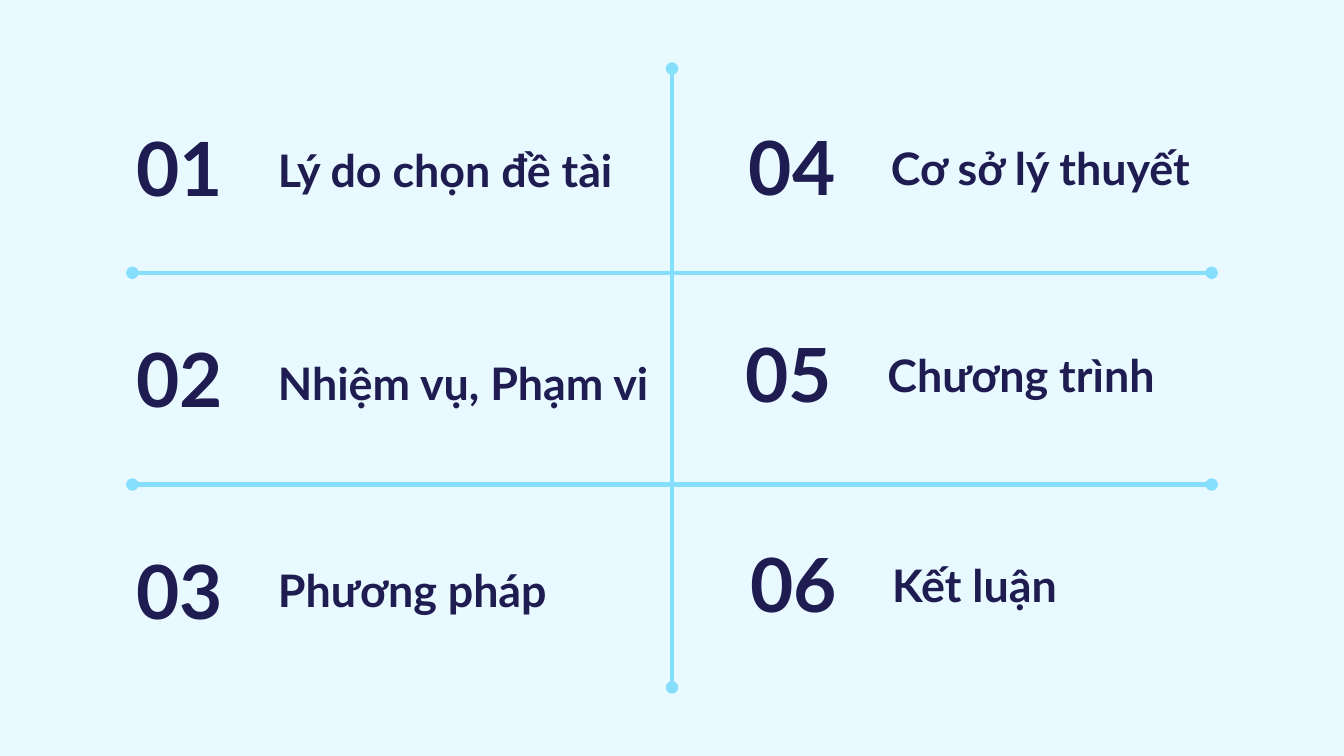
from lxml import etree
from pptx import Presentation
from pptx.dml.color import RGBColor
from pptx.enum.shapes import MSO_CONNECTOR
from pptx.enum.text import MSO_ANCHOR, PP_ALIGN
from pptx.oxml.ns import qn
from pptx.util import Pt

PX = 4572
STRAIGHT = MSO_CONNECTOR.STRAIGHT
TOP, MIDDLE = MSO_ANCHOR.TOP, MSO_ANCHOR.MIDDLE
LEFT, RIGHT = PP_ALIGN.LEFT, PP_ALIGN.RIGHT
COLORS = {"background": "E8F9FF", "text": "1F1C51", "line": "85DFFC"}
FONT = "Lato"
LABEL_OFFSET = 278

ENTRIES = [
    ("01", "Lý do chọn đề tài", 91, 162, 192, 596, 126),
    ("02", "Nhiệm vụ, Phạm vi", 91, 476, 510, 634, 138),
    ("03", "Phương pháp", 91, 791, 817, 596, 104),
    ("04", "Cơ sở lý thuyết", 1003, 161, 190, 596, 138),
    ("05", "Chương trình", 998, 469, 497, 596, 138),
    ("06", "Kết luận", 1005, 781, 810, 596, 138),
]
DIVIDERS = [(1000, 102, 1000, 1023)] + [(197, y, 1803, y) for y in (406, 721)]


def color(name):
    return RGBColor.from_string(COLORS[name])


def write_text(tf, text, size, align=LEFT, anchor=TOP, margin=0, indent=0):
    tf.word_wrap = True
    tf.vertical_anchor = anchor
    tf.margin_left = tf.margin_right = tf.margin_top = tf.margin_bottom = 20 * PX
    p = tf.paragraphs[0]
    p.alignment = align
    pPr = p._p.get_or_add_pPr()
    pPr.set("marL", str(margin * PX))
    pPr.set("indent", str(indent * PX))
    r = p.add_run()
    r.text = text
    r.font.name = FONT
    r.font.size = Pt(size)
    r.font.bold = True
    r.font.color.rgb = color("text")


class Deck:
    """Holds the presentation style and the current slide."""

    def __init__(self, width, height):
        self.prs = Presentation()
        self.prs.slide_width, self.prs.slide_height = width * PX, height * PX
        self.s = self.prs.slides.add_slide(self.prs.slide_layouts[6])
        fill = self.s.background.fill
        fill.solid()
        fill.fore_color.rgb = color("background")

    def text(self, shapes, box, text, size, **fmt):
        sp = shapes.add_textbox(*(v * PX for v in box))
        write_text(sp.text_frame, text, size, **fmt)

    def entry(self, number, label, x, number_y, label_y, label_w, label_h):
        shapes = self.s.shapes.add_group_shape().shapes
        self.text(shapes, (x, number_y, 260, 172), number, 40,
                  align=RIGHT, anchor=MIDDLE)
        self.text(shapes, (x + LABEL_OFFSET, label_y, label_w, label_h), label, 24,
                  margin=100, indent=-75)

    def divider(self, *ends):
        sp = self.s.shapes.add_connector(STRAIGHT, *(v * PX for v in ends))
        sp.line.color.rgb = color("line")
        sp.line.width = Pt(2.25)
        ln = sp.line._get_or_add_ln()
        for tag in ("a:headEnd", "a:tailEnd"):
            etree.SubElement(ln, qn(tag), type="oval")
        etree.SubElement(sp._element.spPr, qn("a:effectLst"))


def main():
    deck = Deck(2000, 1125)
    for entry in ENTRIES[:3]:
        deck.entry(*entry)
    for ends in DIVIDERS:
        deck.divider(*ends)
    for entry in ENTRIES[3:]:
        deck.entry(*entry)
    deck.prs.save("out.pptx")


if __name__ == "__main__":
    main()
